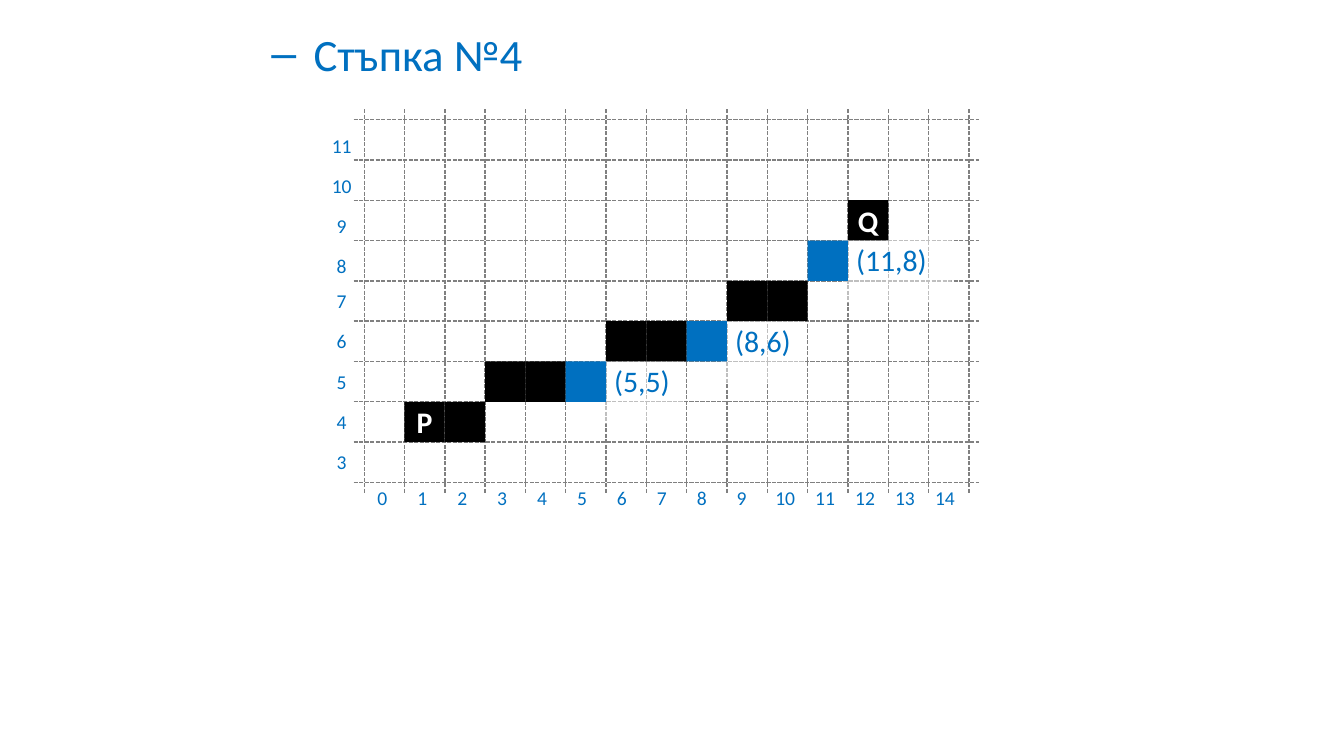
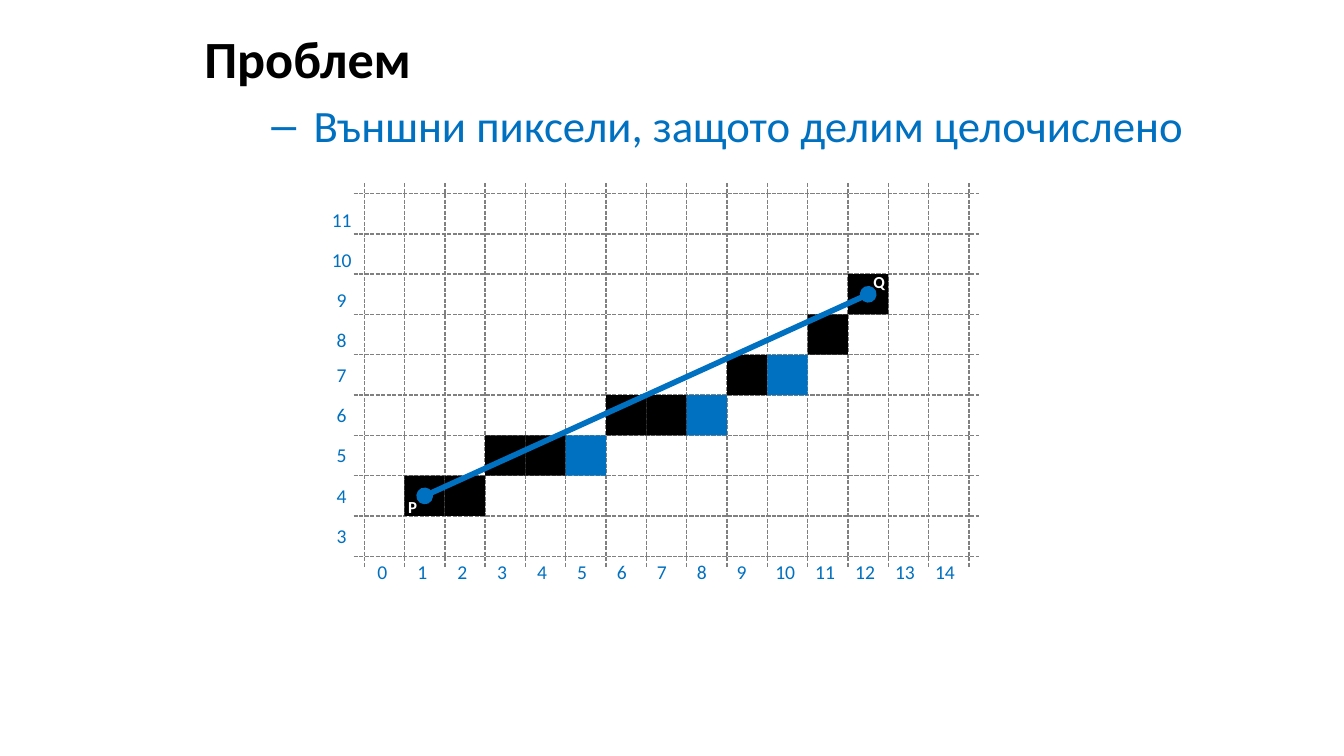
from dataclasses import dataclass

from lxml import etree
from pptx import Presentation
from pptx.dml.color import RGBColor
from pptx.enum.dml import MSO_LINE
from pptx.enum.shapes import MSO_CONNECTOR, MSO_SHAPE
from pptx.enum.text import MSO_ANCHOR, MSO_AUTO_SIZE, PP_ALIGN
from pptx.oxml.ns import qn
from pptx.util import Inches, Pt

DASH = MSO_LINE.SQUARE_DOT
LINE = MSO_CONNECTOR.STRAIGHT
RECT = MSO_SHAPE.RECTANGLE
TOP, MIDDLE = MSO_ANCHOR.TOP, MSO_ANCHOR.MIDDLE
LEFT, CENTER = PP_ALIGN.LEFT, PP_ALIGN.CENTER
NO_FIT = MSO_AUTO_SIZE.NONE


@dataclass(frozen=True)
class Theme:
    face: str = "Calibri"
    black: str = "000000"
    blue: str = "0070C0"
    white: str = "FFFFFF"
    gray: str = "808080"
    head: float = 28
    item: float = 24
    label: float = 16
    axis: float = 10.5
    small: float = 9
    pitch: float = 21.5


# Slide size (16:9) and pixel grid in inches, then first and last cells
WIDE = 10
HIGH = WIDE * 9 / 16
CELL, EDGE = 0.3, 2.71
COLS, LOW, PEAK = 15, 3, 12
OVER = 0.26


class Deck:
    """Holds the style, the current slide and the place of its pixel grid."""

    def __init__(self, theme):
        self.theme = theme
        self.prs = Presentation()
        self.prs.slide_width, self.prs.slide_height = Inches(WIDE), Inches(HIGH)

    def page(self, top, items):
        self.top = top
        slide = self.prs.slides.add_slide(self.prs.slide_layouts[1])
        self.shapes = self.host = slide.shapes
        title = slide.shapes.title
        title.element.getparent().remove(title.element)
        self.body(slide.placeholders[1], items)

    def body(self, box, items):
        width, height = self.prs.slide_width, self.prs.slide_height
        box.left, box.top = int(width * 0.142), int(height * 0.026)
        box.width, box.height = int(width * 0.858), int(height * 0.92)
        frame = box.text_frame
        frame.auto_size = NO_FIT
        for num, (level, text) in enumerate(items):
            para = frame.add_paragraph() if num else frame.paragraphs[0]
            para.text, para.level = text, level
            if level:
                self.style(para, self.theme.item, self.theme.blue)
            else:
                props = para._p.get_or_add_pPr()
                props.set("marL", "0")
                props.set("indent", "0")
                etree.SubElement(props, qn("a:buNone"))
                self.style(para, self.theme.head, self.theme.black, True)

    def x(self, col):
        return Inches(EDGE + col * CELL)

    def y(self, row):
        return Inches(self.top + (PEAK - row) * CELL)

    def place(self, col, row, width, height):
        return self.x(col), self.y(row), Inches(width * CELL), Inches(height * CELL)

    def style(self, para, size, color, bold=False):
        font = para.font
        font.name, font.size, font.bold = self.theme.face, Pt(size), bold
        font.color.rgb = RGBColor.from_string(color)

    def line(self, start, end, color, width):
        line = self.host.add_connector(
            LINE, self.x(start[0]), self.y(start[1]), self.x(end[0]), self.y(end[1]))
        line.line.color.rgb = RGBColor.from_string(color)
        line.line.width = Pt(width)
        etree.SubElement(line._element.spPr, qn("a:effectLst"))
        return line

    def rect(self, place, color):
        rect = self.host.add_shape(RECT, *self.place(*place))
        rect.shadow.inherit = False
        rect.fill.solid()
        rect.fill.fore_color.rgb = RGBColor.from_string(color)
        rect.line.fill.background()
        return rect

    def text(self, place, lines, size, align=LEFT, stops=(), pitch=None):
        box = self.host.add_textbox(*self.place(*place))
        frame = box.text_frame
        frame.word_wrap = True
        for num, text in enumerate(lines):
            para = frame.add_paragraph() if num else frame.paragraphs[0]
            para.text, para.alignment = text, align
            if pitch:
                para.line_spacing = Pt(pitch)
            if stops:
                tabs = etree.SubElement(para._p.get_or_add_pPr(), qn("a:tabLst"))
                for stop in stops:
                    etree.SubElement(tabs, qn("a:tab"), algn="l",
                                     pos=str(Inches(stop * CELL)))
            self.style(para, size, self.theme.blue)
        return frame

    def grid(self):
        self.host = self.shapes.add_group_shape().shapes
        ends = [((col, PEAK + OVER), (col, LOW - OVER)) for col in range(COLS + 1)]
        ends += [((-OVER, row), (COLS + OVER, row)) for row in range(LOW, PEAK + 1)]
        for start, end in ends:
            self.line(start, end, self.theme.gray, 0.75).line.dash_style = DASH
        # Column numbers, then row numbers
        size = self.theme.axis
        for col, width, nums in ((0, 10.4, range(10)), (9.87, 6.1, range(10, COLS))):
            self.text((col, LOW + 0.07, width, 0.93), ["\t".join(map(str, nums))],
                      size, stops=[0.99 * num for num in range(1, len(nums))])
        for row, nums in ((12.23, range(11, 7, -1)), (8.37, range(7, 2, -1))):
            self.text((-1.31, row, 1.5, len(nums) * 1.1), map(str, nums),
                      size, CENTER, pitch=self.theme.pitch)
        self.host = self.shapes

    def cells(self, spots, color):
        for col, row in spots:
            self.rect((col, row + 1, 1, 1), color)

    def notes(self, spots):
        self.host = self.shapes.add_group_shape().shapes
        for col, row in spots:
            text = f"({col},{row})"
            box = self.rect((col + 0.87, row + 1.13, 0.65 * len(text) - 1.2, 1.67),
                            self.theme.white)
            tint = box._element.spPr.find(".//" + qn("a:srgbClr"))
            etree.SubElement(tint, qn("a:alpha"), val="50000")
            frame = box.text_frame
            frame.word_wrap, frame.vertical_anchor = True, TOP
            frame.margin_right = 0
            para = frame.paragraphs[0]
            para.text, para.alignment = text, LEFT
            self.style(para, self.theme.label, self.theme.blue)
        self.host = self.shapes

    def mark(self, text, col, row, size):
        side = 1.26
        frame = self.text((col - side / 2, row + side / 2, side, side),
                          [text], size, CENTER)
        frame.margin_left = frame.margin_right = 0
        frame.vertical_anchor = MIDDLE
        self.style(frame.paragraphs[0], size, self.theme.white, True)

    def ray(self, start, end):
        line = self.line(start, end, self.theme.blue, 3)
        stroke = line._element.spPr.find(qn("a:ln"))
        for tip in ("a:headEnd", "a:tailEnd"):
            etree.SubElement(stroke, qn(tip), type="oval")


def main():
    theme = Theme()
    deck = Deck(theme)
    shared = [(1, 4), (2, 4), (3, 5), (4, 5), (6, 6), (7, 6), (9, 7), (12, 9)]

    # Step four: the pixels found last
    found = [(5, 5), (8, 6), (11, 8)]
    deck.page(0.89, [(1, "Стъпка №4")])
    deck.grid()
    deck.notes(found)
    deck.cells(shared + [(10, 7)], theme.black)
    deck.cells(found, theme.blue)
    deck.mark("P", 1.5, 4.5, theme.label)
    deck.mark("Q", 12.5, 9.5, theme.label)

    # Problem: pixels away from the true segment
    deck.page(1.44, [(0, "Проблем"), (1, "Външни пиксели, защото делим целочислено")])
    deck.grid()
    deck.cells(shared + [(11, 8)], theme.black)
    deck.cells([(5, 5), (8, 6), (10, 7)], theme.blue)
    deck.ray((12.5, 9.5), (1.5, 4.5))
    deck.mark("P", 1.2, 4.23, theme.small)
    deck.mark("Q", 12.77, 9.8, theme.small)

    deck.prs.save("out.pptx")


if __name__ == "__main__":
    main()
